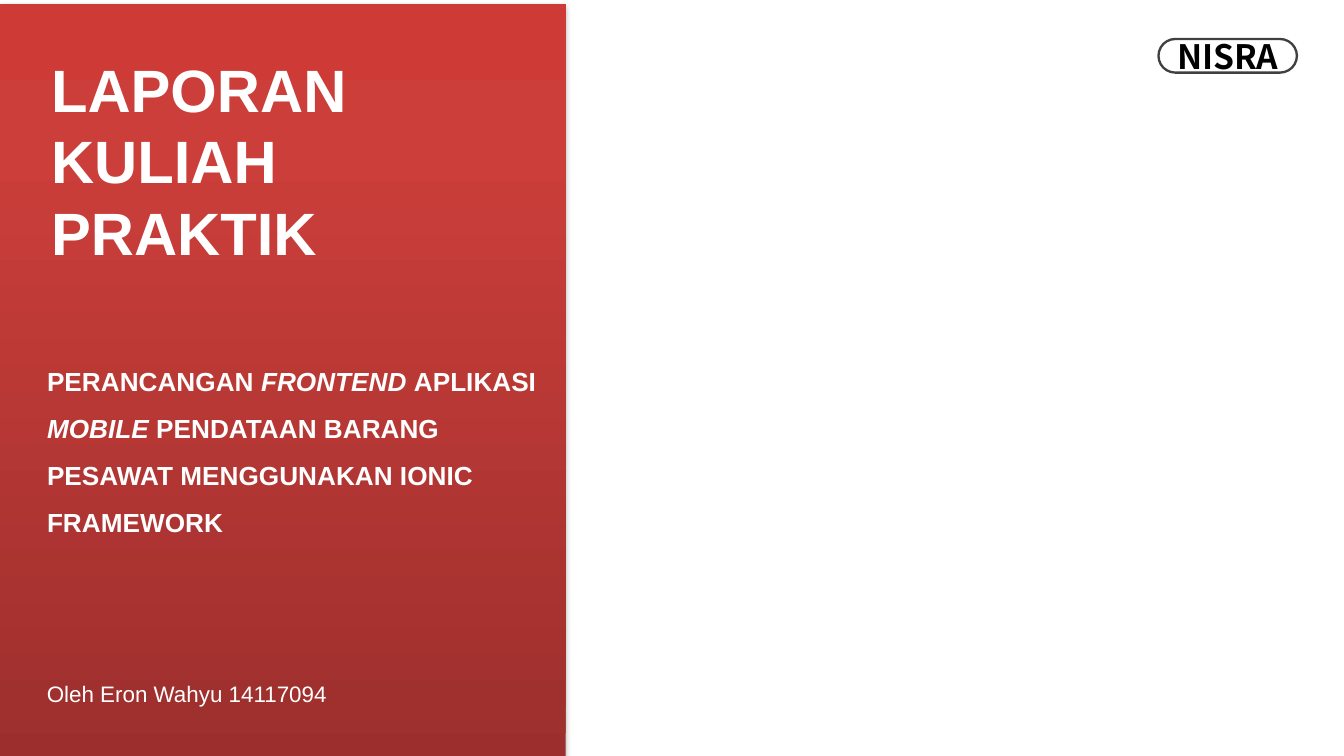
"""Build the cover slide of a practical-course report."""
from lxml import etree
from pptx import Presentation
from pptx.dml.color import RGBColor
from pptx.enum.shapes import MSO_SHAPE
from pptx.enum.text import MSO_ANCHOR, MSO_AUTO_SIZE, PP_ALIGN
from pptx.oxml import parse_xml
from pptx.oxml.ns import nsdecls
from pptx.util import Inches, Pt

RECTANGLE, PILL = MSO_SHAPE.RECTANGLE, MSO_SHAPE.ROUNDED_RECTANGLE
TOP, MIDDLE = MSO_ANCHOR.TOP, MSO_ANCHOR.MIDDLE
LEFT, CENTER = PP_ALIGN.LEFT, PP_ALIGN.CENTER
GROW = MSO_AUTO_SIZE.SHAPE_TO_FIT_TEXT
COLORS = {"white": "FFFFFF", "black": "000000", "outline": "404040",
          "dark_red": "9C2F2D", "red": "CB3E3A", "bright_red": "CE3B37"}


def add_run(paragraph, text, size, color="white", bold=True, italic=False, font="Arial"):
    run = paragraph.add_run()
    run.text = text
    run.font.name = font
    run.font.size = Pt(size)
    run.font.bold = bold
    run.font.italic = italic
    run.font.color.rgb = RGBColor.from_string(COLORS[color])


def place_text(holder, box, spacing):
    holder.left, holder.top, holder.width, holder.height = map(Inches, box)
    frame = holder.text_frame
    frame.word_wrap = True
    frame.auto_size = GROW
    frame.vertical_anchor = TOP
    paragraph = frame.paragraphs[0]
    paragraph.alignment = LEFT
    paragraph.line_spacing = spacing
    paragraph.space_before = Pt(0)
    return paragraph


prs = Presentation()
prs.slide_width = Inches(10)
prs.slide_height = Inches(10) * 9 // 16
slide = prs.slides.add_slide(prs.slide_layouts[0])
shapes = slide.shapes
title, topic = slide.placeholders

panel = shapes.add_shape(RECTANGLE, Inches(0), Inches(0.03), Inches(4.21), Inches(5.62))
panel.line.fill.background()
panel.fill.gradient()
panel.fill.gradient_angle = 90
stops = panel.fill._fill._gradFill.gsLst
for stop in list(stops):
    stops.remove(stop)
for position, color in ((0, "dark_red"), (80, "red"), (100, "bright_red")):
    stops.append(parse_xml(
        f'<a:gs {nsdecls("a")} pos="{position * 1000}">'
        f'<a:srgbClr val="{COLORS[color]}"/></a:gs>'))
panel.shadow.inherit = False
effects = panel.element.spPr.find("{*}effectLst")
effects.append(etree.fromstring(
    f'<a:outerShdw {nsdecls("a")} blurRad="{Pt(3.1)}" dist="{Pt(1.8)}" dir="5400000" '
    f'rotWithShape="0"><a:srgbClr val="{COLORS["black"]}"><a:alpha val="35000"/>'
    '</a:srgbClr></a:outerShdw>'))
shapes._spTree.insert(2, panel.element)

badge = shapes.add_shape(PILL, Inches(8.62), Inches(0.29), Inches(1.03), Inches(0.25))
badge.adjustments[0] = 0.5
badge.shadow.inherit = False
badge.fill.background()
badge.line.color.rgb = RGBColor.from_string(COLORS["outline"])
badge.line.width = Pt(1.25)
badge.text_frame.word_wrap = False
badge.text_frame.vertical_anchor = MIDDLE
badge_label = badge.text_frame.paragraphs[0]
badge_label.alignment = CENTER
add_run(badge_label, "NISRA", 18, "black", font="Noto Sans CJK KR")

heading = place_text(title, (0.28, 0.34, 3.94, 1.72), 1)
add_run(heading, "LAPORAN KULIAH PRAKTIK", 32)

subject = place_text(topic, (0.25, 2.55, 4, 1.47), 1.5)
for text, italic in (("PERANCANGAN ", False), ("FRONTEND ", True),
                     ("APLIKASI ", False), ("MOBILE", True),
                     (" PENDATAAN BARANG PESAWAT MENGGUNAKAN IONIC FRAMEWORK", False)):
    add_run(subject, text, 14, italic=italic)

author_box = shapes.add_textbox(0, 0, 0, 0)
author = place_text(author_box, (0.25, 5.01, 3.92, 0.3), 1)
add_run(author, "Oleh Eron Wahyu 14117094", 12, bold=False)

prs.save("out.pptx")
